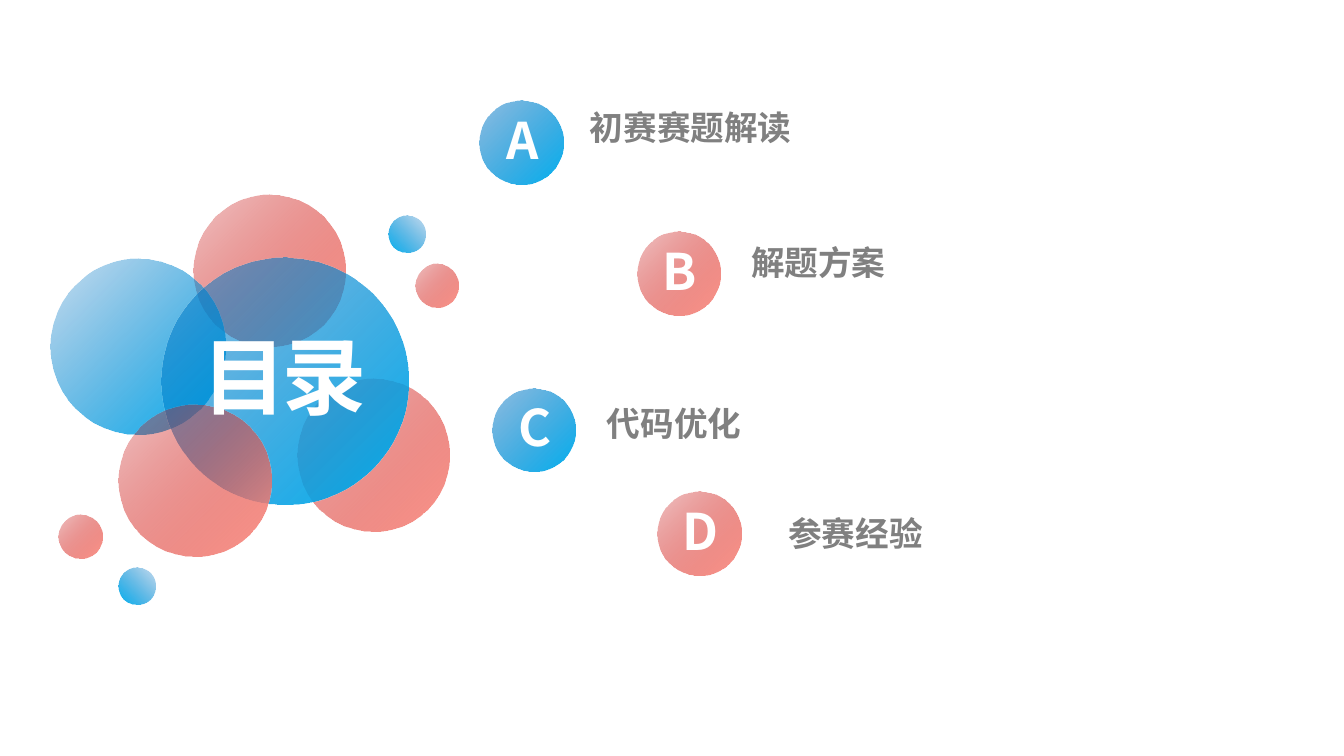
import pptx
import pptx.util
import pptx.dml.color
import pptx.enum.shapes
import pptx.enum.text
import pptx.oxml
import pptx.oxml.ns

# Content: places and sizes are percent of the slide's width and height
TITLE = ("目录", (12.15, 42.27, 18, 14.8))
# left, top, diameter (percent of width), tint
BUBBLES = [
    (14.4, 25.73, 11.33, "coral"),
    (22.13, 50.13, 11.33, "coral"),
    (3.75, 34.27, 13.05, "sky"),
    (12, 34, 18.38, "deep"),
    (28.9, 28.53, 2.75, "drop"),
    (30.9, 34.9, 3.25, "coral"),
    (8.85, 53.47, 11.33, "coral"),
    (8.85, 75.07, 2.75, "drop"),
    (4.35, 68.13, 3.25, "coral"),
]
# letter, badge corner, tint, label, label corner, label width
TOPICS = [
    ("A", (35.71, 13.33), "deep", "初赛赛题解读", (43.89, 13.47), 25.88),
    ("B", (47.41, 30.67), "coral", "解题方案", (55.89, 31.33), 32.56),
    ("C", (36.61, 51.33), "deep", "代码优化", (45.16, 52.67), 32.56),
    ("D", (48.95, 65.07), "coral", "参赛经验", (58.66, 67.2), 32.56),
]
BADGE = 6.2
LETTER = (-1.73, 0.4, 9.83, 9.47)  # shift from badge corner, then size
ROW = 6.67

THEME = {
    "font": "Noto Sans CJK SC",
    "white": "FFFFFF",
    "gray": "808080",
    "title": 60,
    "letter": 36,
    "label": 24,
    # start colour, start opacity, end colour, angle
    "coral": ("C00000", 22, "FE978C", 315),
    "sky": ("0070C0", 22, "00B0F0", 315),
    "deep": ("0070C0", 44, "00B0F0", 315),
    "drop": ("0070C0", 22, "00B0F0", 225),
}

deck = pptx.Presentation()
deck.slide_width = pptx.util.Inches(13.33)
deck.slide_height = pptx.util.Inches(7.5)
slide = deck.slides.add_slide(deck.slide_layouts[5])
shapes = slide.shapes
qn = pptx.oxml.ns.qn
rgb = pptx.dml.color.RGBColor.from_string
text_enum = pptx.enum.text


def across(share):
    return round(deck.slide_width * share / 100)


def down(share):
    return round(deck.slide_height * share / 100)


def place(box):
    left, top, wide, high = box
    return across(left), down(top), across(wide), down(high)


def add_disc(left, top, size, tint):
    start, alpha, end, angle = THEME[tint]
    disc = shapes.add_shape(pptx.enum.shapes.MSO_SHAPE.OVAL,
                            across(left), down(top), across(size), across(size))
    disc.shadow.inherit = False
    disc.line.fill.background()
    disc.fill.gradient()
    disc.fill.gradient_angle = angle
    for stop, (spot, tone) in zip(disc.fill.gradient_stops, ((0, start), (1, end))):
        stop.position = spot
        stop.color.rgb = rgb(tone)
    # Fade the first stop
    first = next(disc._element.iter(qn("a:srgbClr")))
    pptx.oxml.ns  # namespace map used by qn
    first.append(first.makeelement(qn("a:alpha"), {"val": str(alpha * 1000)}))


def write(shape, text, role, tone, centred):
    frame = shape.text_frame
    align = text_enum.PP_ALIGN.CENTER if centred else text_enum.PP_ALIGN.LEFT
    style = {
        "word_wrap": True,
        "auto_size": text_enum.MSO_AUTO_SIZE.SHAPE_TO_FIT_TEXT,
        "vertical_anchor": text_enum.MSO_ANCHOR.TOP,
        "margin_left": pptx.util.Inches(0.1 if centred else 0),
    }
    for key, value in style.items():
        setattr(frame, key, value)
    para = frame.paragraphs[0]
    para.alignment = align
    run = para.add_run()
    run.text = text
    face = {"size": pptx.util.Pt(THEME[role]), "bold": True, "name": THEME["font"]}
    for key, value in face.items():
        setattr(run.font, key, value)
    run.font.color.rgb = rgb(THEME[tone])
    # East Asian face and tight spacing
    props = run._r.get_or_add_rPr()
    props.append(props.makeelement(qn("a:ea"), {"typeface": THEME["font"]}))
    if centred:
        props.set("spc", "-300")


# Bubble cluster
for bubble in BUBBLES:
    add_disc(*bubble)

# Title, raised above the bubbles
text, box = TITLE
title = shapes.title
title.left, title.top, title.width, title.height = place(box)
write(title, text, "title", "white", True)
shapes._spTree.append(title._element)

# Topics: badge, letter, label
for letter, (left, top), tint, label, corner, wide in TOPICS:
    add_disc(left, top, BADGE, tint)
    dx, dy, *size = LETTER
    mark = shapes.add_textbox(*place((left + dx, top + dy, *size)))
    write(mark, letter, "letter", "white", True)
    note = shapes.add_textbox(*place((*corner, wide, ROW)))
    write(note, label, "label", "gray", False)

deck.save("out.pptx")
